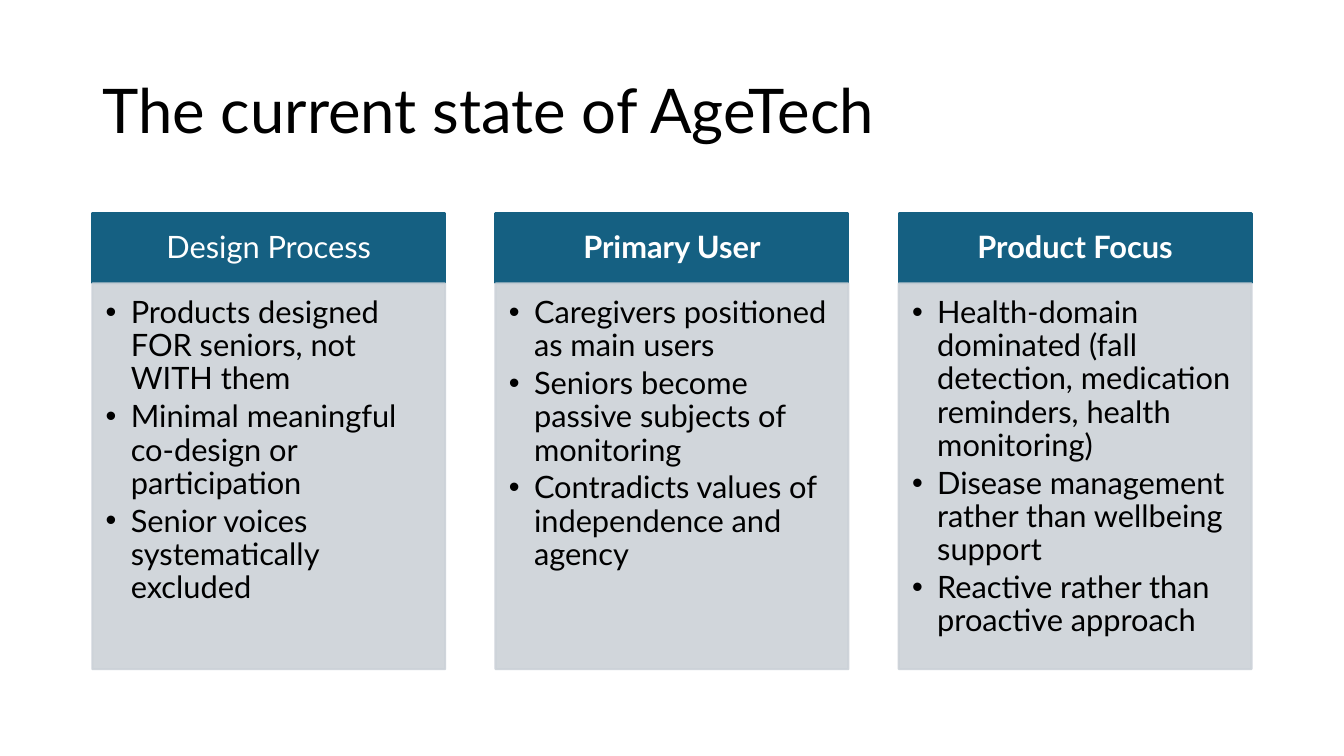
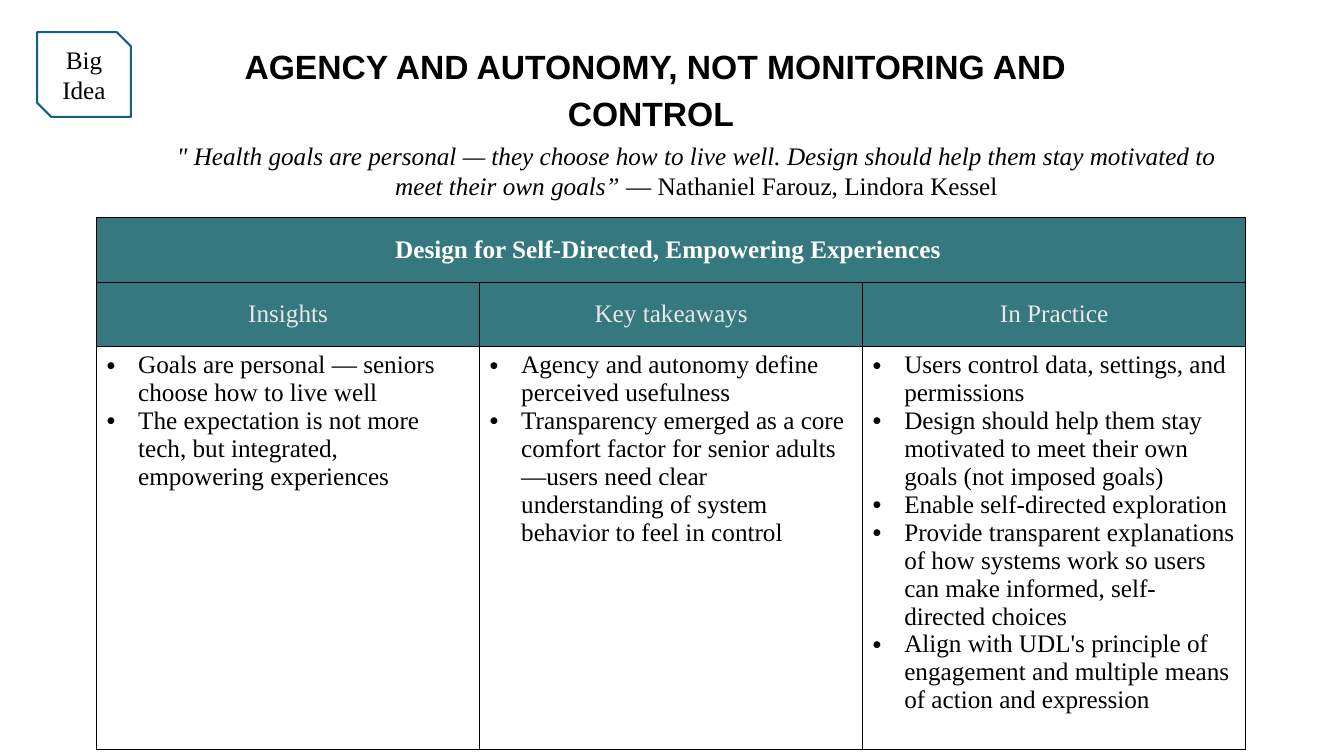
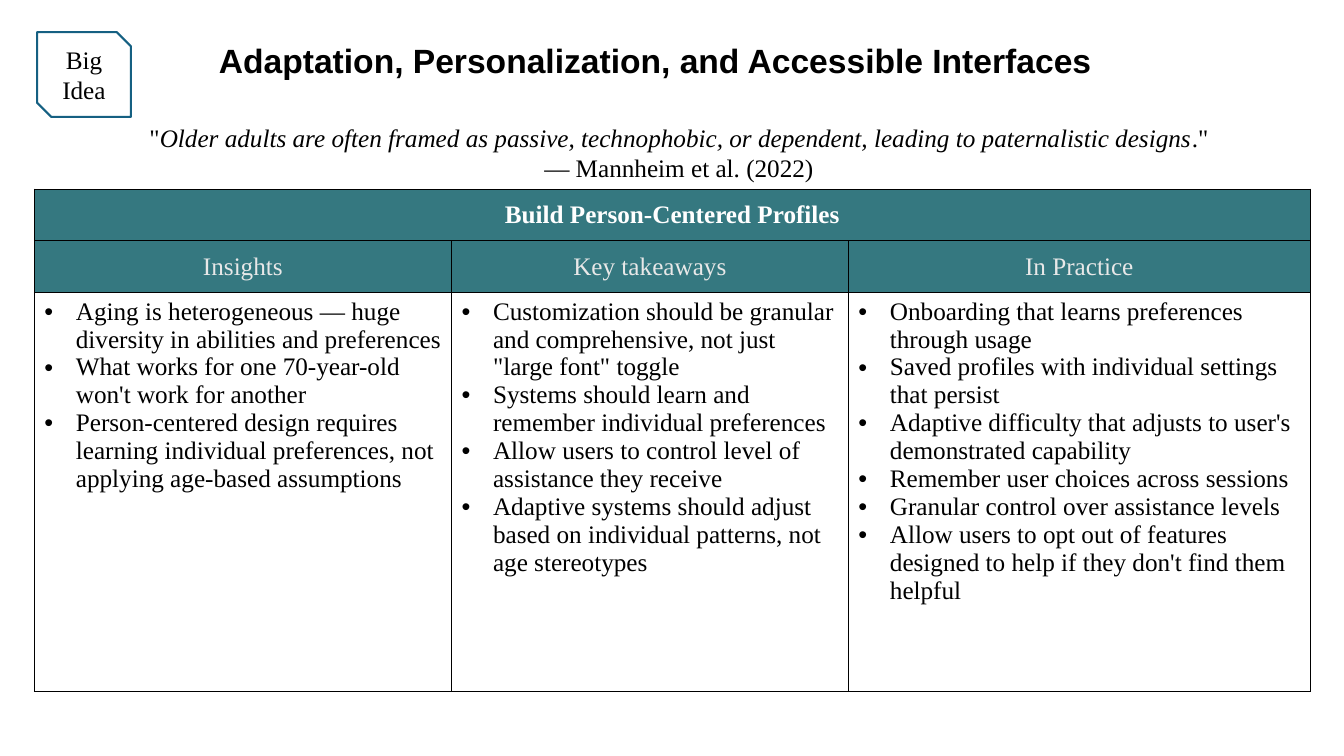
from lxml.etree import SubElement
from pptx import Presentation
from pptx.dml.color import RGBColor
from pptx.enum.shapes import MSO_SHAPE as Shape
from pptx.enum.text import MSO_ANCHOR as Anchor, MSO_AUTO_SIZE as Fit, PP_ALIGN as Align
from pptx.oxml import parse_xml
from pptx.oxml.ns import nsdecls, qn
from pptx.util import Pt

BLUE = RGBColor(0x15, 0x60, 0x82)
GREY = RGBColor(0xCC, 0xD2, 0xD8)
TEAL = RGBColor(0x35, 0x78, 0x80)
PALE = RGBColor(0xE8, 0xE8, 0xE8)
WHITE = RGBColor(0xFF, 0xFF, 0xFF)
BLACK = RGBColor(0, 0, 0)
SANS, SERIF, HEAD = "Lato", "Times New Roman", "Arial"
LEGENDS = ["Insights", "Key takeaways", "In Practice"]

CARDS = [
    ("Design Process", False, [
        "Products designed FOR seniors, not WITH them",
        "Minimal meaningful co-design or participation",
        "Senior voices systematically excluded"]),
    ("Primary User", True, [
        "Caregivers positioned as main users",
        "Seniors become passive subjects of monitoring",
        "Contradicts values of independence and agency"]),
    ("Product Focus", True, [
        "Health-domain dominated (fall detection, medication reminders, health monitoring)",
        "Disease management rather than wellbeing support",
        "Reactive rather than proactive approach"]),
]

AGENCY = [
    ["Goals are personal — seniors choose how to live well",
     "The expectation is not more tech, but integrated, empowering experiences"],
    ["Agency and autonomy define perceived usefulness",
     "Transparency emerged as a core comfort factor for senior adults—users need "
     "clear understanding of system behavior to feel in control"],
    ["Users control data, settings, and permissions",
     "Design should help them stay motivated to meet their own goals (not imposed goals)",
     "Enable self-directed exploration",
     "Provide transparent explanations of how systems work so users can make "
     "informed, self-directed choices",
     "Align with UDL's principle of engagement and multiple means of action and expression"],
]

PROFILES = [
    ["Aging is heterogeneous — huge diversity in abilities and preferences",
     "What works for one 70-year-old won't work for another",
     "Person-centered design requires learning individual preferences, "
     "not applying age-based assumptions"],
    ["Customization should be granular and comprehensive, not just \"large font\" toggle",
     "Systems should learn and remember individual preferences",
     "Allow users to control level of assistance they receive",
     "Adaptive systems should adjust based on individual patterns, not age stereotypes"],
    ["Onboarding that learns preferences through usage",
     "Saved profiles with individual settings that persist",
     "Adaptive difficulty that adjusts to user's demonstrated capability",
     "Remember user choices across sessions",
     "Granular control over assistance levels",
     "Allow users to opt out of features designed to help if they don't find them helpful"],
]


def points(box):
    """Turn a box of numbers into lengths."""
    return [Pt(n) for n in box]


def style(para, font, size, color, bold=False):
    """Format every run of a paragraph."""
    for run in para.runs:
        run.font.name, run.font.size = font, Pt(size)
        run.font.color.rgb, run.font.bold = color, bold


def bullets(frame, items, font, size, indent):
    """Fill a text frame with bulleted paragraphs."""
    frame.text = "\n".join(items)
    for para in frame.paragraphs:
        para.alignment = Align.LEFT
        props = para._p.get_or_add_pPr()
        props.set("marL", str(Pt(indent)))
        props.set("indent", str(-Pt(indent)))
        SubElement(props, qn("a:buFont")).set("typeface", "Arial")
        SubElement(props, qn("a:buChar")).set("char", "•")
        style(para, font, size, BLACK)


def block(slide, kind, box, fill, line):
    """Add a flat preset shape."""
    shape = slide.shapes.add_shape(kind, *points(box))
    shape.shadow.inherit = False
    shape.fill.solid()
    shape.fill.fore_color.rgb = fill
    shape.line.color.rgb = line
    shape.line.width = Pt(1.5)
    shape.text_frame.word_wrap = True
    return shape


def inset(frame, left, top, right, bottom):
    """Set the four margins of a text frame."""
    frame.margin_left, frame.margin_top = Pt(left), Pt(top)
    frame.margin_right, frame.margin_bottom = Pt(right), Pt(bottom)


def title(slide, box, text, font, size, align, anchor, bold=False, lead=1.0):
    """Place and format the title placeholder."""
    shape = slide.shapes.title
    shape.left, shape.top, shape.width, shape.height = points(box)
    frame = shape.text_frame
    frame.text = text
    frame.word_wrap, frame.auto_size = True, Fit.NONE
    frame.vertical_anchor = anchor
    para = frame.paragraphs[0]
    para.alignment, para.line_spacing = align, lead
    style(para, font, size, BLACK, bold)


def card(slide, box, name, bold, items):
    """Draw a headed card with a bulleted body."""
    left, top, width, height = box
    band = 50
    head = block(slide, Shape.RECTANGLE, (left, top, width, band), BLUE, BLUE)
    frame = head.text_frame
    frame.text = name
    frame.vertical_anchor = Anchor.MIDDLE
    para = frame.paragraphs[0]
    para.alignment, para.line_spacing = Align.CENTER, 0.9
    style(para, SANS, 22, WHITE, bold)

    rest = (left, top + band, width, height - band)
    body = block(slide, Shape.RECTANGLE, rest, GREY, GREY)
    for color in body._element.spPr.iter(qn("a:srgbClr")):
        SubElement(color, qn("a:alpha")).set("val", "90000")
    frame = body.text_frame
    inset(frame, 9.5, 9.5, 12.5, 14)
    frame.vertical_anchor = Anchor.TOP
    bullets(frame, items, SANS, 22, 18)
    for para in frame.paragraphs:
        para.line_spacing, para.space_after = 0.9, Pt(3.3)


def cards(slide, box, gap):
    """Spread the cards evenly over a box."""
    left, top, width, height = box
    wide = (width - gap * (len(CARDS) - 1)) / len(CARDS)
    for i, (name, bold, items) in enumerate(CARDS):
        card(slide, (left + i * (wide + gap), top, wide, height), name, bold, items)


def badge(slide, box):
    """Draw the snipped Big Idea label."""
    shape = block(slide, Shape.SNIP_2_DIAG_RECTANGLE, box, WHITE, BLUE)
    frame = shape.text_frame
    frame.text = "Big Idea"
    frame.vertical_anchor = Anchor.MIDDLE
    para = frame.paragraphs[0]
    para.alignment = Align.CENTER
    style(para, SERIF, 18, BLACK)


def quote(slide, box, lines, indent):
    """Write a centred quote from lines of (text, italic) runs."""
    frame = slide.shapes.add_textbox(*points(box)).text_frame
    frame.word_wrap = True
    para = frame.paragraphs[0]
    para.alignment = Align.CENTER
    para._p.get_or_add_pPr().set("marL", str(Pt(indent)))
    for i, line in enumerate(lines):
        if i:
            para.add_line_break()
        for text, slant in line:
            run = para.add_run()
            run.text = text
            run.font.italic = slant
    style(para, SERIF, 18, BLACK)


def border(cell):
    """Draw thin black lines round a cell."""
    props = cell._tc.get_or_add_tcPr()
    for i, side in enumerate("LRTB"):
        props.insert(i, parse_xml(
            f'<a:ln{side} {nsdecls("a")} w="{Pt(0.5)}"><a:solidFill>'
            f'<a:srgbClr val="{BLACK}"/></a:solidFill></a:ln{side}>'))


def label(cell, text, color, bold):
    """Write a centred heading in a cell."""
    cell.text = text
    cell.vertical_anchor = Anchor.MIDDLE
    para = cell.text_frame.paragraphs[0]
    para.alignment = Align.CENTER
    style(para, SERIF, 18, color, bold)


def grid(slide, spot, cols, rows, name, lists):
    """Build the table of insights, takeaways and practice."""
    box = (*spot, sum(cols), sum(rows))
    table = slide.shapes.add_table(len(rows), len(cols), *points(box)).table
    table.first_row = table.horz_banding = False
    for col, width in zip(table.columns, cols):
        col.width = Pt(width)
    for i, (row, height) in enumerate(zip(table.rows, rows)):
        row.height = Pt(height)
        for cell in row.cells:
            if i < 2:
                cell.fill.solid()
                cell.fill.fore_color.rgb = TEAL
            else:
                cell.fill.background()
            border(cell)
    table.cell(0, 0).merge(table.cell(0, len(cols) - 1))
    label(table.cell(0, 0), name, WHITE, True)
    for i, (legend, items) in enumerate(zip(LEGENDS, lists)):
        label(table.cell(1, i), legend, PALE, False)
        bullets(table.cell(2, i).text_frame, items, SERIF, 18, 22.5)


def idea(slide, name, lead, words, table):
    """Compose a Big Idea slide."""
    badge(slide, (26.5, 23, 67, 60.5))
    title(slide, (128, 25, 680, 70), name, HEAD, 24, Align.CENTER, Anchor.TOP, True, lead)
    quote(slide, *words)
    grid(slide, *table)


def main():
    """Build and save the deck."""
    deck = Presentation()
    deck.slide_width, deck.slide_height = Pt(960), Pt(540)
    state, agency, adapt = (
        deck.slides.add_slide(deck.slide_layouts[5]) for _ in range(3))

    title(state, (66, 29, 828, 104), "The current state of AgeTech",
          SANS, 44, Align.LEFT, Anchor.MIDDLE, lead=0.9)
    cards(state, (66, 152.5, 828, 325.5), 36)

    idea(agency, "AGENCY AND AUTONOMY, NOT MONITORING AND CONTROL ", 1.15,
         ((69, 96.5, 821, 51), [[
             ("\" Health goals are personal — they choose how to live well. Design "
              "should help them stay motivated to meet their own goals” ", True),
             ("— Nathaniel Farouz, Lindora Kessel", False)]], 36),
         ((69, 155.5), [273.6] * 3, [46, 46, 288],
          "Design for Self-Directed, Empowering Experiences ", AGENCY))

    idea(adapt, "Adaptation, Personalization, and Accessible Interfaces", 1.0,
         ((37, 83.5, 896, 51), [
             [("\"", False),
              ("Older adults are often framed as passive, technophobic, or dependent, "
               "leading to paternalistic designs", True),
              (".\"", False)],
             [("— Mannheim et al. (2022)", False)]], 0),
         ((24.5, 135), [298, 283.5, 330], [37, 37, 284.5],
          "Build Person-Centered Profiles", PROFILES))

    deck.save("out.pptx")


if __name__ == "__main__":
    main()
